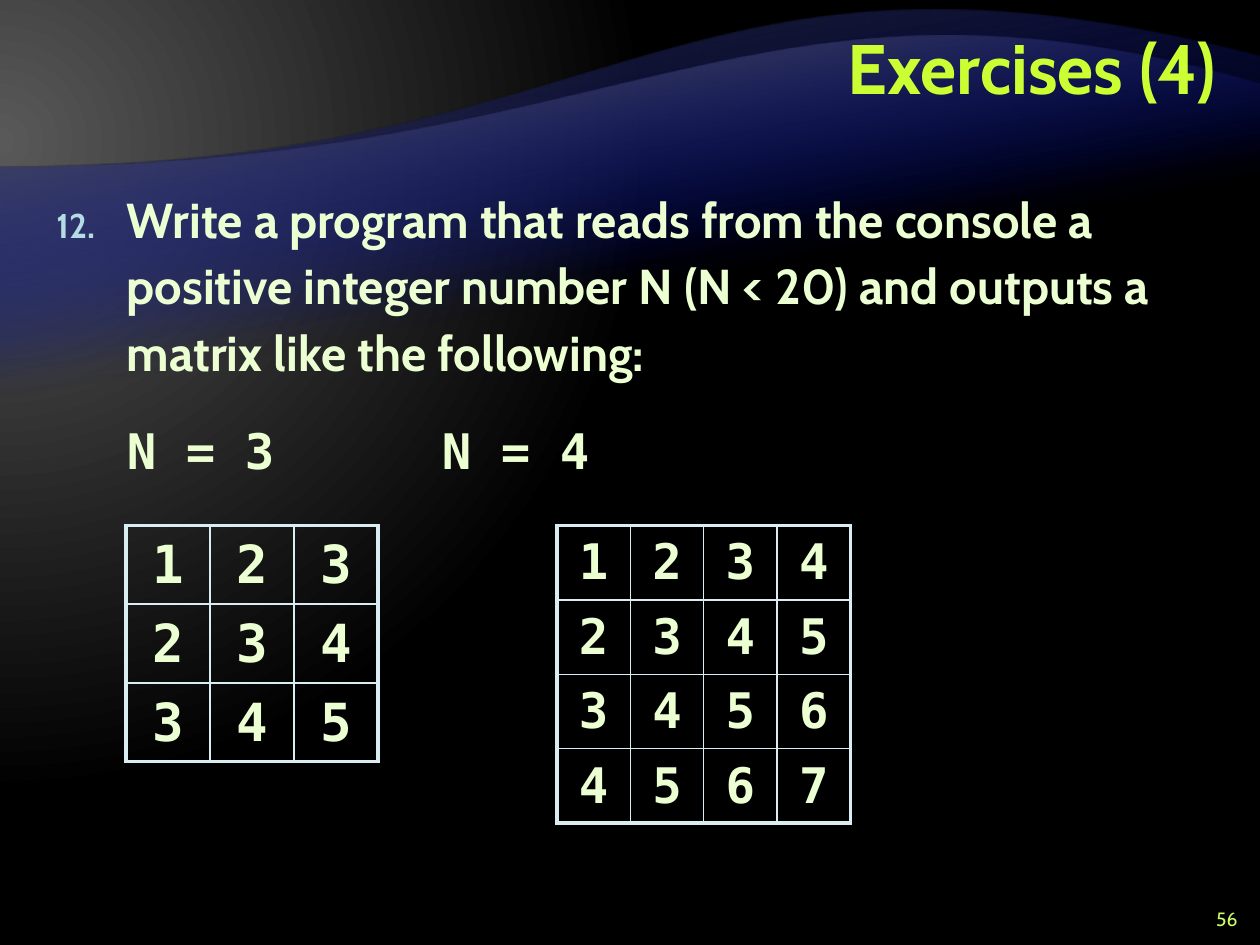
"""Build the matrix exercise slide with two number tables."""
import pptx
import pptx.util
import pptx.dml.color
import pptx.enum.text
import pptx.oxml
import pptx.oxml.ns
from lxml import etree

Inches, Pt = pptx.util.Inches, pptx.util.Pt
RGB = pptx.dml.color.RGBColor
ALIGN = pptx.enum.text.PP_ALIGN
MIDDLE = pptx.enum.text.MSO_ANCHOR.MIDDLE
qn = pptx.oxml.ns.qn
NS = pptx.oxml.ns.nsdecls("a")

LIME = RGB(0xCC, 0xFF, 0x33)
LEAF = RGB(0xCC, 0xFF, 0x66)
CREAM = RGB(0xEB, 0xFF, 0xD2)
SKY = RGB(0xB5, 0xDB, 0xE5)
ICE = RGB(0xDA, 0xED, 0xF2)
BLUE = RGB(0x00, 0x0D, 0x9E)
DARK = RGB(0x26, 0x26, 0x26)
GRAY = RGB(0x59, 0x59, 0x59)
BLACK = RGB(0, 0, 0)
SANS, MONO = "Cabin", "DejaVu Sans Mono"

TITLE = "Exercises (4)"
PAGE = "56"
TASK = ("Write a program that reads from the console a positive integer "
        "number N (N < 20) and outputs a matrix like the following:")
CASES = "\tN = 3\t\t\tN = 4"
WAVES = [
    (0.45, 6.53, (5.34, -0.75), DARK),
    (0.67, 5.57, (5.98, -0.49), GRAY),
]
GRIDS = [
    (3, 1, 2, 1.8, 30),
    (4, 4.42, 2.33, 2.27, 28),
]
CREST = 1.33
WIDE = 10


def grad(stops, shade):
    """Return a gradient fill from (position, colour, alpha) stops."""
    marks = "".join(
        f'<a:gs pos="{pos * 1000}"><a:srgbClr val="{tone}">'
        f'<a:alpha val="{alpha * 1000}"/></a:srgbClr></a:gs>'
        for pos, tone, alpha in stops)
    return pptx.oxml.parse_xml(
        f'<a:gradFill {NS} rotWithShape="1"><a:gsLst>{marks}</a:gsLst>'
        f'{shade}</a:gradFill>')


def paint(slide):
    """Fill the background with a radial glow."""
    fill = slide.background.fill
    fill.solid()
    fill.fore_color.rgb = BLACK
    props = slide._element.find(".//" + qn("p:bgPr"))
    glow = grad([(0, GRAY, 100), (83, BLACK, 100)],
                '<a:path path="circle"><a:fillToRect l="20000" t="30000" '
                'r="135000" b="100000"/></a:path>')
    props.replace(props.find(qn("a:solidFill")), glow)


def wave(slide, top, base, bend, tone):
    """Draw a half-turned wave whose edge is a cubic curve."""
    def flip(x, y):
        return Inches(WIDE - x), Inches(top + base - y)

    form = slide.shapes.build_freeform(*flip(WIDE, base))
    form.add_line_segments(
        [flip(0, base), flip(0, CREST), flip(WIDE, top)], close=True)
    shape = form.convert_to_shape()
    shape.shadow.inherit = False
    shape.line.fill.background()
    shape.rotation = 180
    shape.fill.background()
    props = shape._element.spPr
    props.replace(props.find(qn("a:noFill")),
                  grad([(65, BLUE, 0), (100, tone, 100)],
                       '<a:lin ang="4800000" scaled="0"/>'))
    edge = props.findall(".//" + qn("a:lnTo"))[-1]
    edge.tag = qn("a:cubicBezTo")
    for spot, (x, y) in enumerate([(5, CREST), bend]):
        x, y = flip(x, y)
        node = etree.Element(qn("a:pt"), x=str(x), y=str(y - Inches(top)))
        edge.insert(spot, node)


def style(para, face, size, tone, bold=True):
    """Set the font of a paragraph."""
    font = para.font
    font.name, font.size, font.bold = face, Pt(size), bold
    font.color.rgb = tone


def box(slide, *place):
    """Add a wrapping text box and return its frame."""
    frame = slide.shapes.add_textbox(*map(Inches, place)).text_frame
    frame.word_wrap = True
    return frame


def label(slide, place, text, size, tone, bold):
    """Add one right-aligned line of text."""
    frame = box(slide, *place)
    frame.vertical_anchor = MIDDLE
    para = frame.paragraphs[0]
    para.text, para.alignment = text, ALIGN.RIGHT
    style(para, SANS, size, tone, bold)
    return para


def body(slide):
    """Add the numbered task and the case headings."""
    frame = box(slide, 0.35, 1.39, 9.13, 2.53)
    task, cases = frame.paragraphs[0], frame.add_paragraph()
    bullet = (f'<a:buClr {NS}><a:srgbClr val="{SKY}"/></a:buClr>',
              f'<a:buSzPct {NS} val="70000"/>',
              f'<a:buAutoNum {NS} type="arabicPeriod" startAt="12"/>')
    for para, text, face, marks in (
            (task, TASK, SANS, bullet),
            (cases, CASES, MONO, (f'<a:buNone {NS}/>',))):
        para.text = text
        para.line_spacing, para.space_before = Pt(38), Pt(18)
        props = para._p.get_or_add_pPr()
        props.set("marL", str(Inches(0.56)))
        props.set("indent", str(Inches(-0.56)))
        for mark in marks:
            props.append(pptx.oxml.parse_xml(mark))
        style(para, face, 28, CREAM)


def border(cell, row, col, last):
    """Draw thick lines on the outer sides and thin ones inside."""
    props = cell._tc.get_or_add_tcPr()
    for side, outer in (("L", col == 0), ("R", col == last),
                        ("T", row == 0), ("B", row == last)):
        width = Pt(2.25 if outer else 1)
        props.append(pptx.oxml.parse_xml(
            f'<a:ln{side} {NS} w="{width}"><a:solidFill>'
            f'<a:srgbClr val="{ICE}"/></a:solidFill></a:ln{side}>'))
    cell.fill.background()


def matrix(slide, count, left, width, height, size):
    """Add a table whose cells hold row plus column plus one."""
    table = slide.shapes.add_table(
        count, count, *map(Inches, (left, 4.17, width, height))).table
    table.first_row = table.horz_banding = False
    for row in range(count):
        for col in range(count):
            cell = table.cell(row, col)
            cell.text = str(row + col + 1)
            para = cell.text_frame.paragraphs[0]
            para.alignment, para.line_spacing = ALIGN.CENTER, 1.05
            style(para, MONO, size, CREAM)
            border(cell, row, col, count - 1)


def main():
    """Build and save the slide."""
    deck = pptx.Presentation()
    deck.slide_width, deck.slide_height = Inches(WIDE), Inches(7.5)
    slide = deck.slides.add_slide(deck.slide_layouts[6])
    paint(slide)
    for item in WAVES:
        wave(slide, *item)
    head = label(slide, (2, 0.08, 7.75, 1), TITLE, 40, LIME, True)
    head.line_spacing = Pt(40)
    label(slide, (9.42, 7.17, 0.5, 0.25), PAGE, 11, LEAF, False)
    body(slide)
    for grid in GRIDS:
        matrix(slide, *grid)
    deck.save("out.pptx")


if __name__ == "__main__":
    main()
